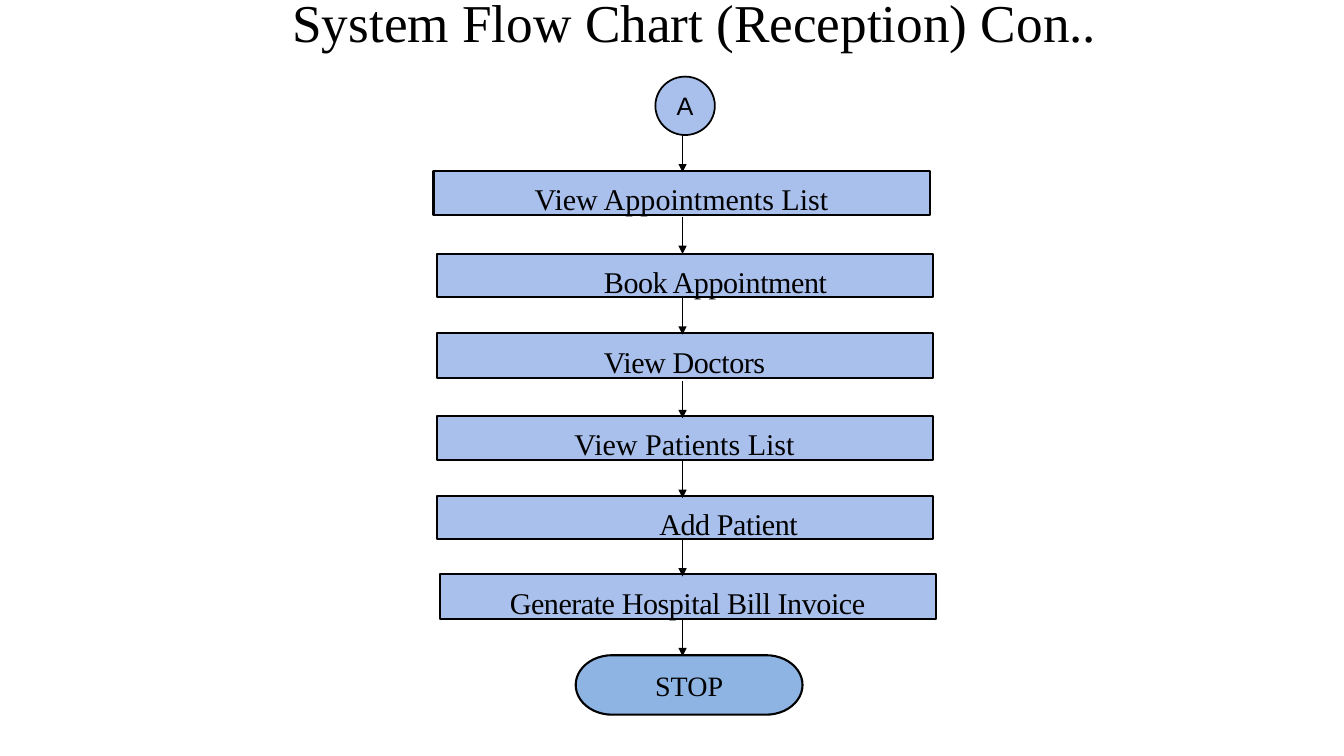
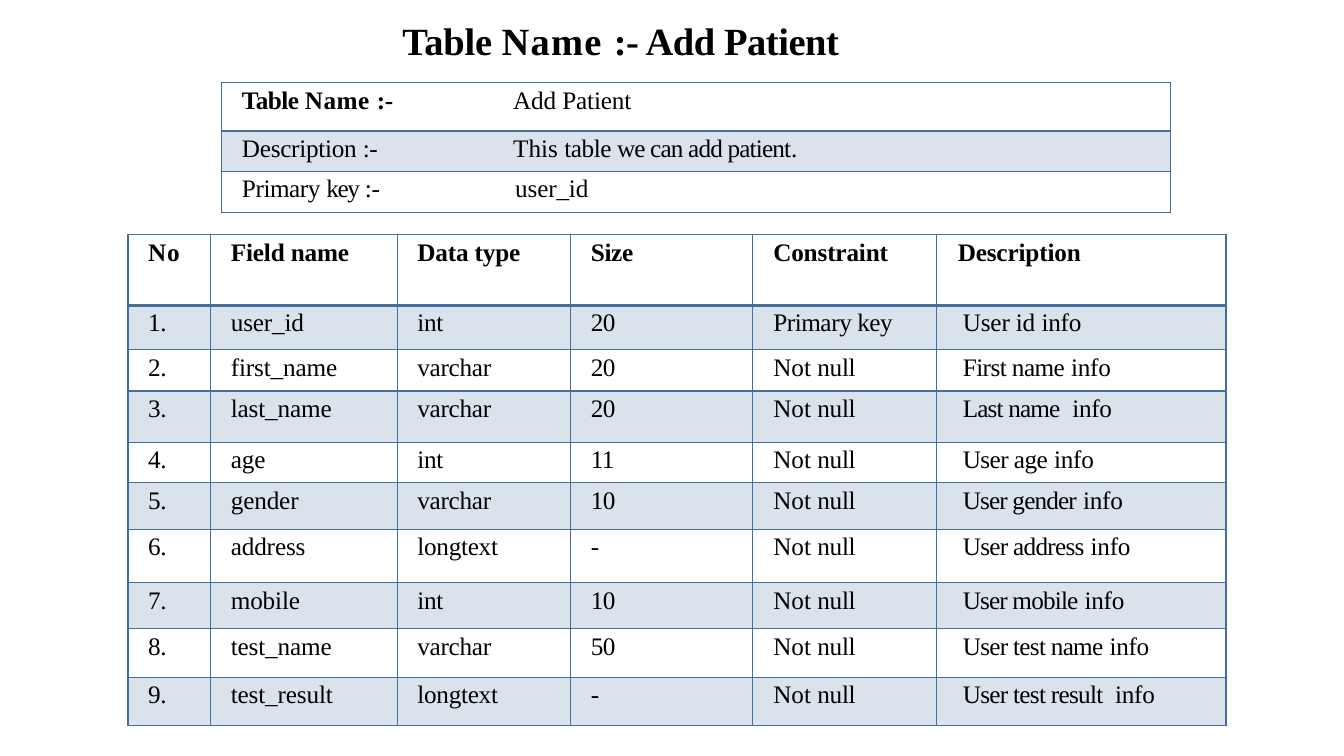
from lxml.etree import SubElement
from pptx import Presentation
from pptx.dml.color import RGBColor
from pptx.enum.shapes import MSO_CONNECTOR, MSO_SHAPE
from pptx.enum.text import MSO_ANCHOR, MSO_AUTO_SIZE, PP_ALIGN
from pptx.oxml.ns import qn
from pptx.util import Emu, Pt

BLACK = RGBColor(0x00, 0x00, 0x00)
STEP_BLUE = RGBColor(0xA9, 0xC0, 0xEC)
STOP_BLUE = RGBColor(0x8E, 0xB4, 0xE3)
GRID_BLUE = RGBColor(0x44, 0x6F, 0x9D)
BAND_BLUE = RGBColor(0xDA, 0xE2, 0xEB)
SERIF, SANS = "Times New Roman", "Arial"
THIN, THICK = 0.96, 2.21
TITLE_ONLY = 5


def px(length):
    """Turn layout pixels (100 to the inch) into EMU."""
    return Emu(length * 9144)


class Deck:
    """House style plus the slide being built."""

    def __init__(self):
        self.prs = Presentation()
        self.prs.slide_width, self.prs.slide_height = px(1333), px(750)
        self.slide = None

    def add_slide(self):
        layout = self.prs.slide_layouts[TITLE_ONLY]
        self.slide = self.prs.slides.add_slide(layout)

    def add_runs(self, paragraph, runs, size, font=SERIF):
        """Add runs given as (text, letter spacing in points, bold)."""
        for text, spacing, bold in runs:
            run = paragraph.add_run()
            run.text = text
            run.font.name, run.font.size, run.font.bold = font, Pt(size), bold
            run.font.color.rgb = BLACK
            if spacing:
                run._r.get_or_add_rPr().set("spc", str(round(spacing * 100)))

    def frame(self, shape, anchor, insets, align):
        """Set up a text frame and return its first paragraph."""
        text = shape.text_frame
        text.word_wrap, text.auto_size = True, MSO_AUTO_SIZE.NONE
        text.vertical_anchor = anchor
        (text.margin_left, text.margin_top,
         text.margin_right, text.margin_bottom) = map(px, insets)
        text.paragraphs[0].alignment = align
        return text.paragraphs[0]

    def title(self, box, runs, size):
        title = self.slide.shapes.title
        title.left, title.top, title.width, title.height = map(px, box)
        line = self.frame(title, MSO_ANCHOR.TOP, (10, 5, 10, 5), PP_ALIGN.LEFT)
        self.add_runs(line, runs, size)

    def node(self, kind, box, label, size, fill=STEP_BLUE, font=SERIF, spacing=0,
             width=1.5, anchor=MSO_ANCHOR.MIDDLE, insets=(0, 0, 0, 0),
             align=PP_ALIGN.CENTER):
        shape = self.slide.shapes.add_shape(kind, *map(px, box))
        shape.shadow.inherit = False
        shape.fill.solid()
        shape.fill.fore_color.rgb = fill
        shape.line.color.rgb, shape.line.width = BLACK, Pt(width)
        line = self.frame(shape, anchor, insets, align)
        self.add_runs(line, [(label, spacing, False)], size, font)

    def step(self, left, top, height, label, spacing, indent):
        """Process box; an indent replaces centring."""
        self.node(MSO_SHAPE.RECTANGLE, (left, top, 492, height), label, 21.5,
                  spacing=spacing, anchor=MSO_ANCHOR.BOTTOM,
                  insets=(indent, 0, 0, -2),
                  align=PP_ALIGN.LEFT if indent else PP_ALIGN.CENTER)

    def arrow(self, x, top, length):
        arrow = self.slide.shapes.add_connector(
            MSO_CONNECTOR.STRAIGHT, px(x), px(top), px(x), px(top + length))
        arrow.line.color.rgb, arrow.line.width = BLACK, Pt(0.75)
        SubElement(arrow.line._get_or_add_ln(), qn("a:tailEnd"), type="triangle")
        SubElement(arrow._element.spPr, qn("a:effectLst"))

    def border(self, cell, side, width):
        line = SubElement(cell._tc.get_or_add_tcPr(), qn(f"a:ln{side}"),
                          w=str(Pt(width)))
        fill = SubElement(line, qn("a:solidFill"))
        SubElement(fill, qn("a:srgbClr"), val=str(GRID_BLUE))

    def table(self, left, top, columns, heights, rows, indents, tabs=None):
        """Grid with a thick rule under its first row and every second row tinted."""
        table = self.slide.shapes.add_table(
            len(rows), len(columns), px(left), px(top),
            px(sum(columns)), px(sum(heights))).table
        table.first_row = table.horz_banding = False
        for column, width in zip(table.columns, columns):
            column.width = px(width)
        for r, (height, row) in enumerate(zip(heights, rows)):
            table.rows[r].height = px(height)
            for c, runs in enumerate(row):
                cell = table.cell(r, c)
                cell.margin_left = px(indents[c] + (5 if r and c == 5 else 0))
                cell.margin_top = px(4)
                cell.margin_right = cell.margin_bottom = 0
                for side, heavy in (("L", False), ("R", False),
                                    ("T", r == 1), ("B", r == 0)):
                    self.border(cell, side, THICK if heavy else THIN)
                if r % 2:
                    cell.fill.solid()
                    cell.fill.fore_color.rgb = BAND_BLUE
                else:
                    cell.fill.background()
                line = cell.text_frame.paragraphs[0]
                if tabs:
                    stops = SubElement(line._p.get_or_add_pPr(), qn("a:tabLst"))
                    SubElement(stops, qn("a:tab"), pos=str(px(tabs[r])), algn="l")
                self.add_runs(line, runs, 18)


# Reception flow: left, top, height, label, letter spacing, indent
STEPS = [
    (430, 170, 43, "View Appointments List", 0, 0),
    (433, 252, 43, "Book Appointment", -0.3, 166),
    (433, 330, 45, "View Doctors", -0.3, 0),
    (433, 413, 43, "View Patients List", 0, 0),
    (433, 492, 43, "Add Patient", -0.3, 221),
    (436, 569, 45, "Generate Hospital Bill Invoice", -0.3, 0),
]
ARROW_TOPS = [134, 215, 295, 378, 457, 535, 614]

# Table summary: one tabbed line per row
SUMMARY = [
    [[("Table ", -0.4, True), ("Name ", 0.4, True), (":-\t", -0.3, True),
      ("Add Patient", -0.1, False)]],
    [[("Description ", -0.2, False), (":-", -0.3, False), ("\tThis ", 0, False),
      ("table", -0.3, False), (" we can add patient", -0.6, False),
      (".", -0.1, False)]],
    [[("Primary ", -0.3, False), ("key ", -1, False), (":-\t", -0.3, False),
      ("user_id", -0.1, False)]],
]

# Table fields: name, type, size, description before "info", letter spacing, gap
HEADINGS = [("No", 0.5), ("Field name", -0.1), ("Data type", -0.1),
            ("Size", -0.2), ("Constraint", -0.1), ("Description", -0.1)]
FIELDS = [
    ("user_id", "int", "20", "User id", -0.1, 0),
    ("first_name", "varchar", "20", "First name", -0.4, 0),
    ("last_name", "varchar", "20", "Last name", -0.6, 4),
    ("age", "int", "11", "User age", -0.4, 0),
    ("gender", "varchar", "10", "User gender", -0.6, 0),
    ("address", "longtext", "-", "User address", -0.5, 0),
    ("mobile", "int", "10", "User mobile", -0.6, 0),
    ("test_name", "varchar", "50", "User test name", -0.5, 0),
    ("test_result", "longtext", "-", "User test result", -0.5, 4),
]


def field_row(number, field):
    name, kind, size, about, spacing, gap = field
    if number == 1:
        constraint = [("Primary key", -0.3, False)]
    else:
        constraint = [("Not ", 0, False), ("null", -0.2, False)]
    return [
        [(f"{number}.", -0.3, False)], [(name, -0.1, False)],
        [(kind, -0.2, False)], [(size, -0.3, False)], constraint,
        [(about, spacing, False), (" ", gap, False), ("info", -0.2, False)],
    ]


def main():
    deck = Deck()

    # Reception flow chart
    deck.add_slide()
    deck.title((280, -16, 828, 73),
               [("System Flow Chart (Reception) Con..", 0, False)], 38)
    deck.node(MSO_SHAPE.OVAL, (650, 76, 59, 58), "A", 18, font=SANS, width=1.25)
    for step in STEPS:
        deck.step(*step)
    deck.node(MSO_SHAPE.FLOWCHART_TERMINATOR, (571, 650, 225, 59), "STOP", 20,
              fill=STOP_BLUE)
    for top in ARROW_TOPS:
        deck.arrow(677, top, 37)

    # Add Patient table
    deck.add_slide()
    deck.title((389, 12, 666, 56),
               [("Table ", -0.1, True), ("Name ", 0.9, True),
                (":- Add Patient", -0.3, True)], 27.5)
    deck.table(220, 82, [941], [48, 40, 41], SUMMARY, [20], tabs=[269, 269, 271])
    heading_row = [[(text, spacing, True)] for text, spacing in HEADINGS]
    deck.table(127, 233, [82, 185, 172, 180, 183, 287],
               [70, 44, 41, 51, 40, 46, 53, 46, 48, 48],
               [heading_row] + [field_row(n, f) for n, f in enumerate(FIELDS, 1)],
               [20, 20, 20, 20, 21, 21])

    deck.prs.save("out.pptx")


if __name__ == "__main__":
    main()
